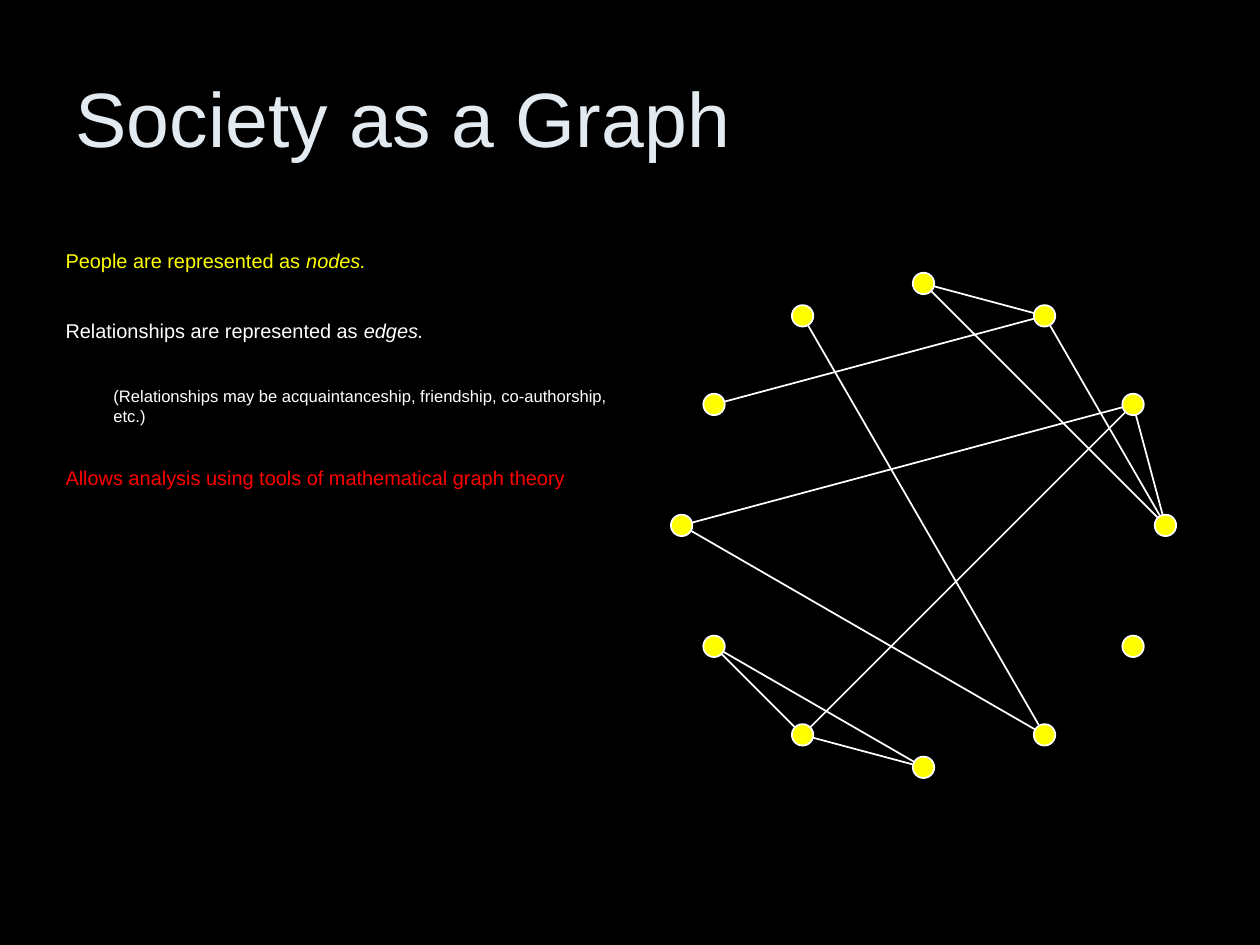
from math import cos, radians, sin

from lxml import etree
from pptx import Presentation
from pptx.dml.color import RGBColor
from pptx.enum.shapes import MSO_CONNECTOR, MSO_SHAPE
from pptx.enum.text import MSO_ANCHOR, MSO_AUTO_SIZE, PP_ALIGN
from pptx.oxml.ns import qn
from pptx.util import Inches, Pt

STRAIGHT = MSO_CONNECTOR.STRAIGHT
OVAL = MSO_SHAPE.OVAL
TOP = MSO_ANCHOR.TOP
MIDDLE = MSO_ANCHOR.MIDDLE
NO_AUTOFIT = MSO_AUTO_SIZE.NONE
LEFT = PP_ALIGN.LEFT

FONT = "Arial"
BLACK, WHITE, YELLOW, RED = "000000", "FFFFFF", "FFFF00", "FF0000"
TITLE_COLOR = "E3EBF1"

CENTER_X, CENTER_Y, RADIUS = 7.33, 4.17, 1.92
NODE_COUNT, NODE_SIZE = 12, 0.17
EDGES = [
    (11, 5), (5, 9), (7, 8), (6, 8), (6, 7), (2, 7),
    (2, 3), (1, 3), (0, 3), (9, 2), (0, 1), (10, 1),
]

STATEMENTS = [
    ("People are represented as ", "nodes.", 11.4, YELLOW, 0, 0),
    ("Relationships are represented as ", "edges.", 11.4, WHITE, 0, 26.3),
    ("(Relationships may be acquaintanceship, friendship, co-authorship, etc.)",
     "", 9.5, WHITE, 0.38, 25),
    ("Allows analysis using tools of mathematical graph theory",
     "", 11.4, RED, 0, 23),
]


def color(value):
    return RGBColor.from_string(value)


def place(shape, left, top, width, height, anchor):
    shape.left, shape.top = Inches(left), Inches(top)
    shape.width, shape.height = Inches(width), Inches(height)
    frame = shape.text_frame
    frame.word_wrap = True
    frame.auto_size = NO_AUTOFIT
    frame.vertical_anchor = anchor
    return frame


def style_paragraph(paragraph, size, text_color):
    paragraph.alignment = LEFT
    paragraph.font.name = FONT
    paragraph.font.size = Pt(size)
    paragraph.font.color.rgb = color(text_color)


def fill_title(slide):
    frame = place(slide.shapes.title, 0.5, 0.3, 9, 1.25, MIDDLE)
    frame.text = "Society as a Graph"
    style_paragraph(frame.paragraphs[0], 44, TITLE_COLOR)


def fill_body(slide):
    frame = place(slide.placeholders[1], 0.42, 1.92, 4.58, 1.92, TOP)
    for index, statement in enumerate(STATEMENTS):
        text, term, size, text_color, indent, space_before = statement
        paragraph = frame.add_paragraph() if index else frame.paragraphs[0]
        paragraph.space_before = Pt(space_before)
        properties = paragraph._p.get_or_add_pPr()
        properties.set("marL", str(Inches(indent)))
        properties.set("indent", "0")
        etree.SubElement(properties, qn("a:buNone"))
        style_paragraph(paragraph, size, text_color)
        paragraph.add_run().text = text
        if term:
            run = paragraph.add_run()
            run.text = term
            run.font.italic = True


def node_center(index):
    angle = radians(index * 360 / NODE_COUNT)
    return CENTER_X + RADIUS * sin(angle), CENTER_Y - RADIUS * cos(angle)


def add_edge(slide, start, end):
    ends = [Inches(value) for value in node_center(start) + node_center(end)]
    connector = slide.shapes.add_connector(STRAIGHT, *ends)
    connector.line.color.rgb = color(WHITE)
    connector.line.width = Pt(1)
    etree.SubElement(connector._element.spPr, qn("a:effectLst"))


def add_node(slide, index):
    x, y = node_center(index)
    node = slide.shapes.add_shape(
        OVAL, Inches(x - NODE_SIZE / 2), Inches(y - NODE_SIZE / 2),
        Inches(NODE_SIZE), Inches(NODE_SIZE))
    node.shadow.inherit = False
    node.fill.solid()
    node.fill.fore_color.rgb = color(YELLOW)
    node.line.color.rgb = color(WHITE)
    node.line.width = Pt(1)


def main():
    presentation = Presentation()
    presentation.slide_width = Inches(10)
    presentation.slide_height = Inches(7.5)
    slide = presentation.slides.add_slide(presentation.slide_layouts[1])
    slide.background.fill.solid()
    slide.background.fill.fore_color.rgb = color(BLACK)
    fill_title(slide)
    fill_body(slide)
    for start, end in EDGES:
        add_edge(slide, start, end)
    for index in range(NODE_COUNT):
        add_node(slide, index)
    presentation.save("out.pptx")


if __name__ == "__main__":
    main()
